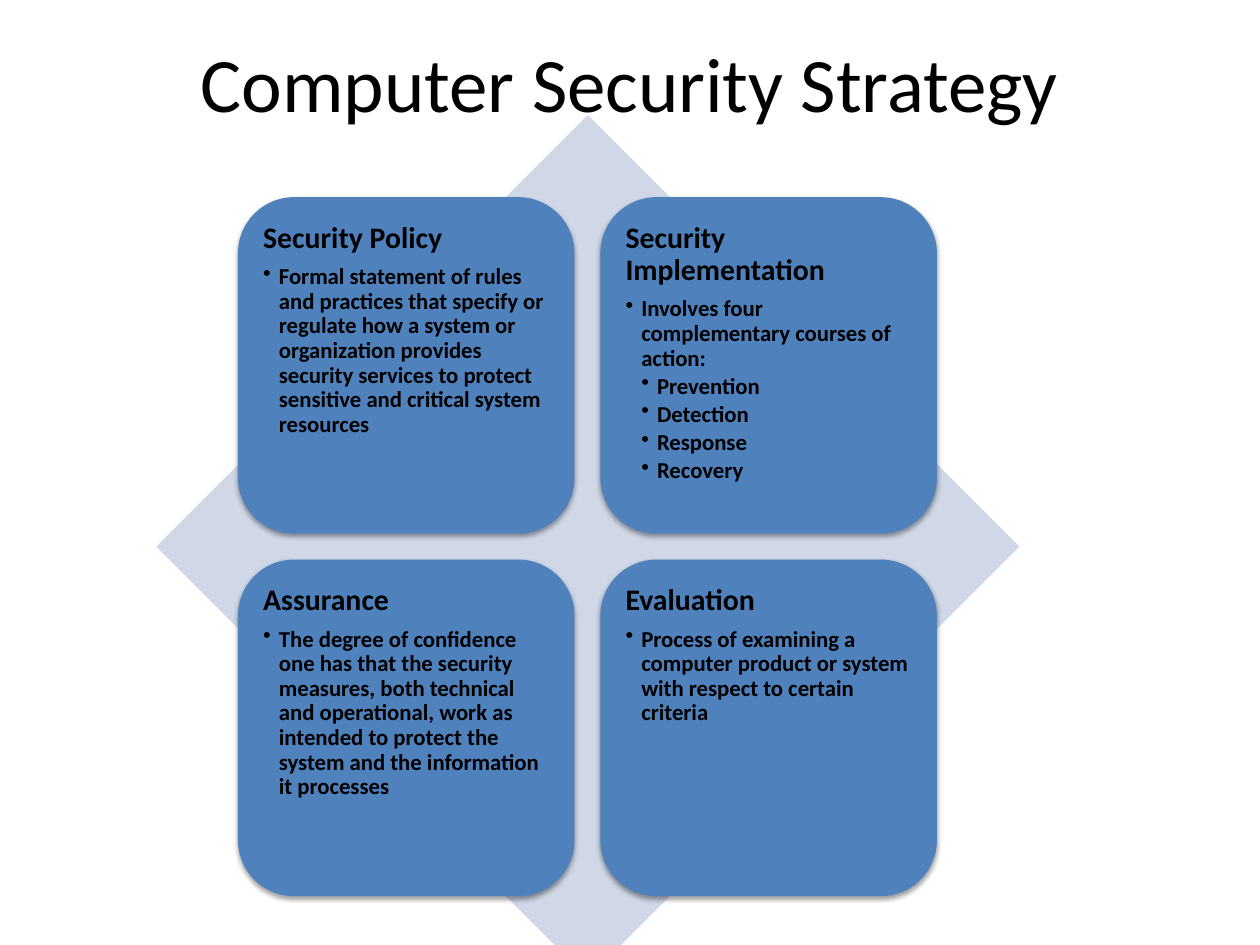
from dataclasses import dataclass

from lxml.etree import SubElement
from pptx import Presentation
from pptx.dml.color import RGBColor
from pptx.enum.shapes import MSO_AUTO_SHAPE_TYPE as ShapeType
from pptx.enum.text import MSO_ANCHOR as Anchor, PP_ALIGN as Align
from pptx.oxml.ns import qn
from pptx.util import Pt

BLACK = RGBColor(0x00, 0x00, 0x00)
CARD_BLUE = RGBColor(0x4F, 0x81, 0xBD)
PALE_BLUE = RGBColor(0xD0, 0xD8, 0xE8)

FONT = "Calibri"
DIAMOND_LEFT, DIAMOND_TOP, DIAMOND_SIZE = 89.3, 65.7, 493.2
CARD_LEFT, CARD_TOP, CARD_SIZE, CARD_PITCH = 136, 112.7, 192.3, 207.1
CARD_INSET = 5
BULLET_INDENT = 9


@dataclass(frozen=True)
class Card:
    heading: str
    statement: str
    actions: tuple[str, ...] = ()


CARDS = (
    Card(
        "Security Policy",
        "Formal statement of rules and practices that specify or regulate how a "
        "system or organization provides security services to protect sensitive "
        "and critical system resources",
    ),
    Card(
        "Security Implementation",
        "Involves four complementary courses of action:",
        ("Prevention", "Detection", "Response", "Recovery"),
    ),
    Card(
        "Assurance",
        "The degree of confidence one has that the security measures, both "
        "technical and operational, work as intended to protect the system and "
        "the information it processes",
    ),
    Card(
        "Evaluation",
        "Process of examining a computer product or system with respect to "
        "certain criteria",
    ),
)


def add_block(slide, kind: ShapeType, left: float, top: float, size: float,
              color: RGBColor):
    block = slide.shapes.add_shape(kind, Pt(left), Pt(top), Pt(size), Pt(size))
    block.shadow.inherit = False
    block.fill.solid()
    block.fill.fore_color.rgb = color
    block.line.fill.background()
    return block


def add_drop_shadow(block) -> None:
    effects = block.element.spPr.find(qn("a:effectLst"))
    shadow = SubElement(effects, qn("a:outerShdw"), blurRad=str(Pt(3.1)),
                        dist=str(Pt(1.6)), dir="5400000", rotWithShape="0")
    shade = SubElement(shadow, qn("a:srgbClr"), val=str(BLACK))
    SubElement(shade, qn("a:alpha"), val="38000")


def write_paragraph(paragraph, text: str, level: int = 0) -> None:
    paragraph.text = text
    paragraph.level = level
    paragraph.alignment = Align.LEFT
    paragraph.line_spacing = 0.9
    paragraph.space_after = Pt(2 if level else 6)
    if level:
        properties = paragraph._p.get_or_add_pPr()
        properties.set("marL", str(Pt(BULLET_INDENT * level)))
        properties.set("indent", str(-Pt(BULLET_INDENT)))
        SubElement(properties, qn("a:buChar"), char="•")
    font = paragraph.font
    font.name = FONT
    font.size = Pt(13 if level else 17)
    font.bold = True
    font.color.rgb = BLACK


def add_card(slide, card: Card, row: int, column: int) -> None:
    block = add_block(slide, ShapeType.ROUNDED_RECTANGLE,
                      CARD_LEFT + column * CARD_PITCH,
                      CARD_TOP + row * CARD_PITCH, CARD_SIZE, CARD_BLUE)
    add_drop_shadow(block)
    frame = block.text_frame
    frame.word_wrap = True
    frame.vertical_anchor = Anchor.TOP
    frame.margin_left = frame.margin_right = Pt(CARD_INSET)
    frame.margin_top = frame.margin_bottom = Pt(CARD_INSET)
    write_paragraph(frame.paragraphs[0], card.heading)
    write_paragraph(frame.add_paragraph(), card.statement, 1)
    for action in card.actions:
        write_paragraph(frame.add_paragraph(), action, 2)


def add_title(slide, text: str) -> None:
    title = slide.shapes.title
    title.left, title.top, title.width, title.height = Pt(0), Pt(1.5), Pt(720), Pt(90)
    title.text_frame.vertical_anchor = Anchor.MIDDLE
    paragraph = title.text_frame.paragraphs[0]
    paragraph.text = text
    paragraph.alignment = Align.CENTER
    paragraph.font.name = FONT
    paragraph.font.size = Pt(44)
    paragraph.font.color.rgb = BLACK


def main() -> None:
    presentation = Presentation()
    presentation.slide_width, presentation.slide_height = Pt(720), Pt(540)
    slide = presentation.slides.add_slide(presentation.slide_layouts[5])
    add_title(slide, "Computer Security Strategy")
    add_block(slide, ShapeType.DIAMOND, DIAMOND_LEFT, DIAMOND_TOP, DIAMOND_SIZE,
              PALE_BLUE)
    for index, card in enumerate(CARDS):
        add_card(slide, card, *divmod(index, 2))
    presentation.save("out.pptx")


if __name__ == "__main__":
    main()
